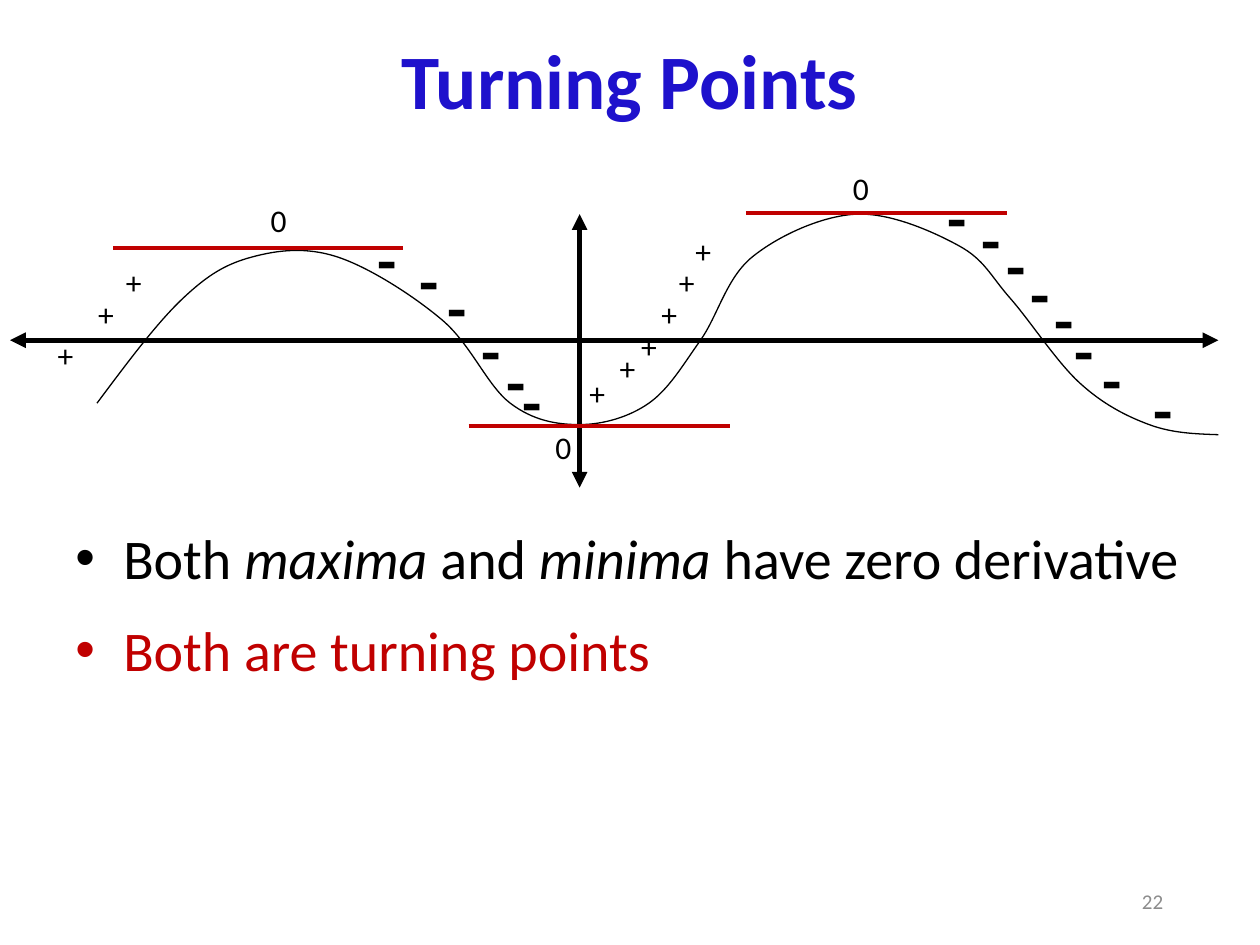
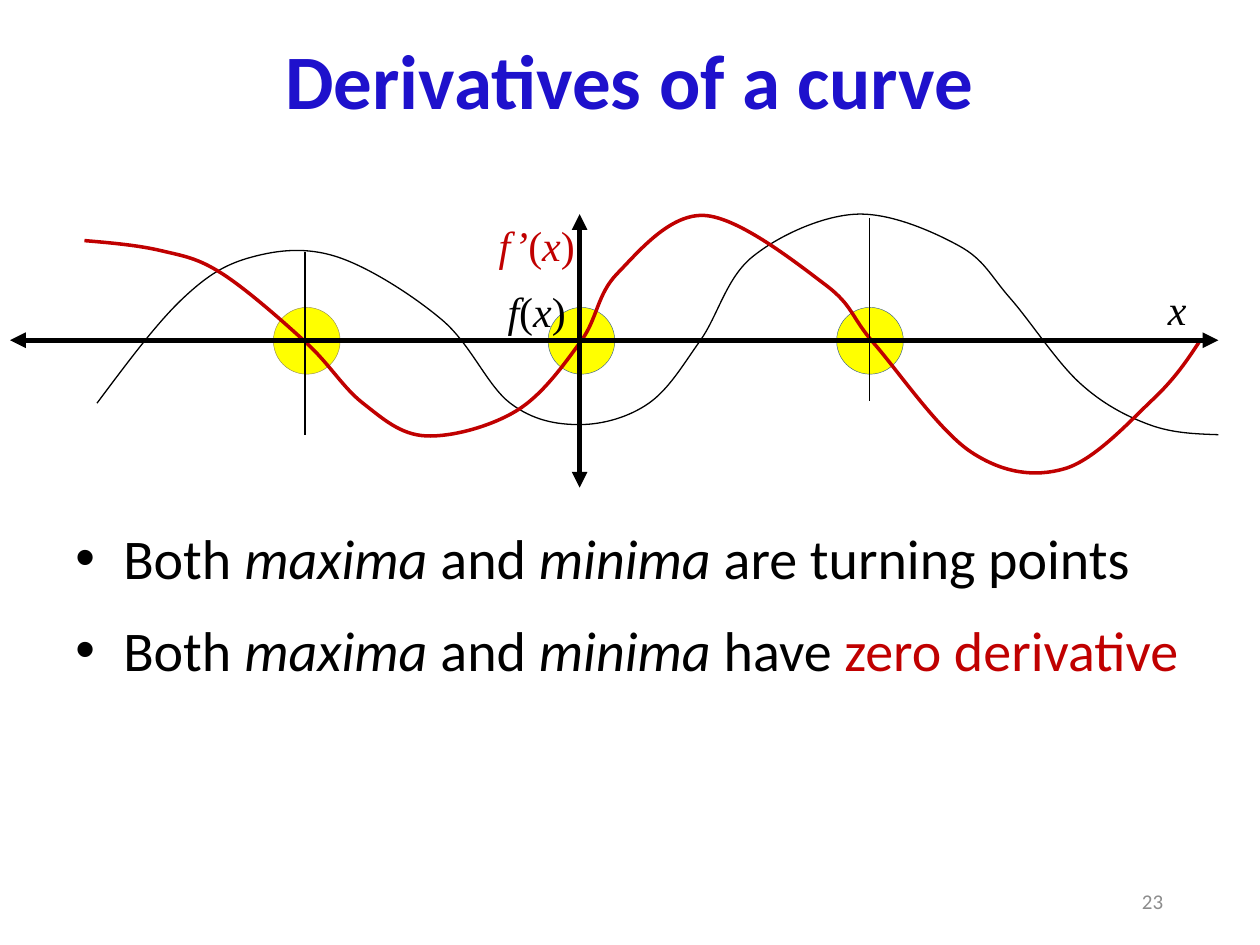
from dataclasses import dataclass

from lxml.etree import SubElement
from pptx import Presentation
from pptx.dml.color import RGBColor
from pptx.enum.shapes import MSO_CONNECTOR, MSO_SHAPE
from pptx.enum.text import MSO_ANCHOR, PP_ALIGN
from pptx.oxml.ns import qn
from pptx.util import Inches, Pt


@dataclass(frozen=True)
class Theme:
    title: str = "1E11CC"
    black: str = "000000"
    red: str = "C00000"
    yellow: str = "FFFF00"
    blue: str = "3A5F8C"
    olive: str = "948A54"
    grey: str = "8C8C8C"
    sans: str = "Calibri"
    serif: str = "Times New Roman"
    title_size: int = 44
    body_size: int = 32
    minus_size: int = 36
    formula_size: int = 24
    sign_size: int = 18
    number_size: int = 12


theme = Theme()
UNITS = 1000  # curve units per inch


def add_text(slide, box, paragraphs, size, font=theme.sans, bold=False,
             align=PP_ALIGN.LEFT, anchor=MSO_ANCHOR.TOP, bullets=False, right_margin=0.1):
    """Each paragraph is a list of (text, colour); asterisks enclose italics."""
    frame = slide.shapes.add_textbox(*map(Inches, box)).text_frame
    frame.word_wrap = True
    frame.vertical_anchor = anchor
    frame.margin_right = Inches(right_margin)
    for index, parts in enumerate(paragraphs):
        paragraph = frame.add_paragraph() if index else frame.paragraphs[0]
        paragraph.alignment = align
        if bullets:
            paragraph.line_spacing = 1.2
            if index:
                paragraph.space_before = Pt(0.2 * size)
            properties = paragraph._p.get_or_add_pPr()
            properties.set("marL", str(Inches(0.38)))
            properties.set("indent", str(-Inches(0.38)))
            SubElement(properties, qn("a:buFont"), typeface="Arial")
            SubElement(properties, qn("a:buChar"), char="•")
        paragraph.font.name = font
        paragraph.font.size = Pt(size)
        paragraph.font.bold = bold
        paragraph.font.color.rgb = RGBColor.from_string(parts[0][1])
        for text, colour in parts:
            for position, piece in enumerate(text.split("*")):
                if piece:
                    run = paragraph.add_run()
                    run.text = piece
                    if position % 2:
                        run.font.italic = True
                    if colour != parts[0][1]:
                        run.font.color.rgb = RGBColor.from_string(colour)


def add_curve(slide, knots, colour, width):
    """Draw a smooth curve whose tangents follow the neighbouring knots."""
    points = [(round(x * UNITS), round(y * UNITS)) for x, y in knots]
    builder = slide.shapes.build_freeform(*points[0], scale=Inches(1) / UNITS)
    builder.add_line_segments(points[1:], close=False)
    shape = builder.convert_to_shape()
    shape.shadow.inherit = False
    shape.fill.background()
    shape.line.color.rgb = RGBColor.from_string(colour)
    shape.line.width = Pt(width)

    left, top = (min(axis) for axis in zip(*points))
    slopes = [((c[0] - a[0]) / 6, (c[1] - a[1]) / 6) for a, c in zip(points, points[2:])]
    last = len(points) - 2
    for index, segment in enumerate(list(shape._element.iter(qn("a:lnTo")))):
        start, end = points[index], points[index + 1]
        if index > 0:
            control_1 = [p + s for p, s in zip(start, slopes[index - 1])]
        if index < last:
            control_2 = [p - s for p, s in zip(end, slopes[index])]
        if index == 0:
            control_1 = [(p + c) / 2 for p, c in zip(start, control_2)]
        if index == last:
            control_2 = [(p + c) / 2 for p, c in zip(end, control_1)]
        segment.tag = qn("a:cubicBezTo")
        segment.clear()
        for x, y in (control_1, control_2, end):
            SubElement(segment, qn("a:pt"), x=str(round(x - left)), y=str(round(y - top)))


# Curves
function_knots = [
    (0.77, 3.2), (1.45, 2.37), (2, 2.04), (2.68, 2.04), (3.51, 2.54), (4.05, 3.2),
    (4.6, 3.37), (5.15, 3.2), (5.56, 2.7), (5.97, 2.04), (6.79, 1.7), (7.61, 1.95),
    (8.02, 2.37), (8.57, 3.04), (9.12, 3.37), (9.67, 3.45)]
derivative_knots = [
    (0.67, 1.91), (1.28, 1.99), (1.76, 2.17), (2.43, 2.72), (2.88, 3.2), (3.38, 3.46),
    (4.1, 3.26), (4.61, 2.71), (4.9, 2.17), (5.59, 1.71), (6.55, 2.26), (6.94, 2.73),
    (7.71, 3.59), (8.45, 3.72), (9.15, 3.17), (9.52, 2.71)]

# Slope signs: left and top of each text box
zeros = [(6.67, 1.29), (2.05, 1.55), (4.31, 3.35)]
pluses = [(0.36, 2.62), (0.68, 2.29), (0.9, 2.04), (4.58, 2.92), (4.82, 2.72),
          (4.99, 2.55), (5.15, 2.29), (5.29, 2.04), (5.42, 1.79)]
minuses = [(2.9, 1.7), (3.23, 1.87), (3.45, 2.08), (3.72, 2.42), (3.92, 2.67),
           (4.05, 2.83), (7.42, 1.37), (7.69, 1.54), (7.89, 1.75), (8.08, 1.97),
           (8.27, 2.18), (8.43, 2.42), (8.65, 2.65), (9.06, 2.89)]
sign_groups = [("0", zeros, theme.sign_size, False),
               ("+", pluses, theme.sign_size, False),
               ("-", minuses, theme.minus_size, True)]

# Lines: start x, start y, end x, end y
axes = [(4.6, 1.7, 4.6, 3.87), (0.08, 2.7, 9.67, 2.7)]
tangents = [(3.72, 3.38, 5.79, 3.38), (5.92, 1.69, 7.99, 1.69), (0.9, 1.97, 3.2, 1.97)]
verticals = [(2.42, 2, 2.42, 3.45), (6.9, 1.73, 6.9, 3.18)]

# Derivative slide: circles round the roots, and labels
root_circles = [(4.35, theme.blue), (2.17, theme.olive), (6.64, theme.blue)]
formulas = [("*x*", 9.17, 2.2, theme.black), ("*f*(*x*)", 3.93, 2.22, theme.black),
            ("*f’*(*x*)", 3.86, 1.69, theme.red)]

extrema = "Both *maxima *and *minima *"
pages = [
    {"title": "Turning Points", "number": "22",
     "bullets": [[(extrema + "have zero derivative", theme.black)],
                 [("Both are turning points", theme.red)]],
     "circles": [], "derivative": False, "signs": sign_groups, "formulas": [],
     "lines": tangents, "line_style": (theme.red, 2.25)},
    {"title": "Derivatives of a curve", "number": "23",
     "bullets": [[(extrema + "are turning points", theme.black)],
                 [(extrema + "have ", theme.black), ("zero derivative", theme.red)]],
     "circles": root_circles, "derivative": True, "signs": [], "formulas": formulas,
     "lines": verticals, "line_style": (theme.black, 0.75)},
]

presentation = Presentation()
presentation.slide_width = Inches(10)
presentation.slide_height = Inches(7.5)

for page in pages:
    slide = presentation.slides.add_slide(presentation.slide_layouts[6])

    # Title, slide number and bullets
    add_text(slide, (0.5, 0, 9, 1.25), [[(page["title"], theme.title)]], theme.title_size,
             bold=True, align=PP_ALIGN.CENTER, anchor=MSO_ANCHOR.MIDDLE)
    add_text(slide, (7, 6.95, 2.33, 0.4), [[(page["number"], theme.grey)]],
             theme.number_size, align=PP_ALIGN.RIGHT, anchor=MSO_ANCHOR.MIDDLE)
    add_text(slide, (0.5, 4, 9.25, 3.25), page["bullets"], theme.body_size, bullets=True)

    # Circles behind the graph
    for left, outline in page["circles"]:
        circle = slide.shapes.add_shape(
            MSO_SHAPE.OVAL, Inches(left), Inches(2.44), Inches(0.53), Inches(0.53))
        circle.shadow.inherit = False
        circle.fill.solid()
        circle.fill.fore_color.rgb = RGBColor.from_string(theme.yellow)
        circle.line.color.rgb = RGBColor.from_string(outline)
        circle.line.width = Pt(0.25)

    # Curves
    add_curve(slide, function_knots, theme.black, 0.75)
    if page["derivative"]:
        add_curve(slide, derivative_knots, theme.red, 2)

    # Axes with arrowheads, then tangents or verticals
    for ends, (colour, width), arrows in (
            [(ends, (theme.black, 3), True) for ends in axes]
            + [(ends, page["line_style"], False) for ends in page["lines"]]):
        connector = slide.shapes.add_connector(MSO_CONNECTOR.STRAIGHT, *map(Inches, ends))
        connector.line.color.rgb = RGBColor.from_string(colour)
        connector.line.width = Pt(width)
        if arrows:
            line = connector.line._get_or_add_ln()
            SubElement(line, qn("a:headEnd"), type="triangle")
            SubElement(line, qn("a:tailEnd"), type="triangle")
        SubElement(connector._element.spPr, qn("a:effectLst"))

    # Slope signs and formulas
    for sign, places, size, bold in page["signs"]:
        for left, top in places:
            add_text(slide, (left, top, 0.6, 0.5), [[(sign, theme.black)]], size, bold=bold)
    for formula, left, top, colour in page["formulas"]:
        add_text(slide, (left, top, 0.81, 0.5), [[(formula, colour)]], theme.formula_size,
                 font=theme.serif, right_margin=0)

presentation.save("out.pptx")
